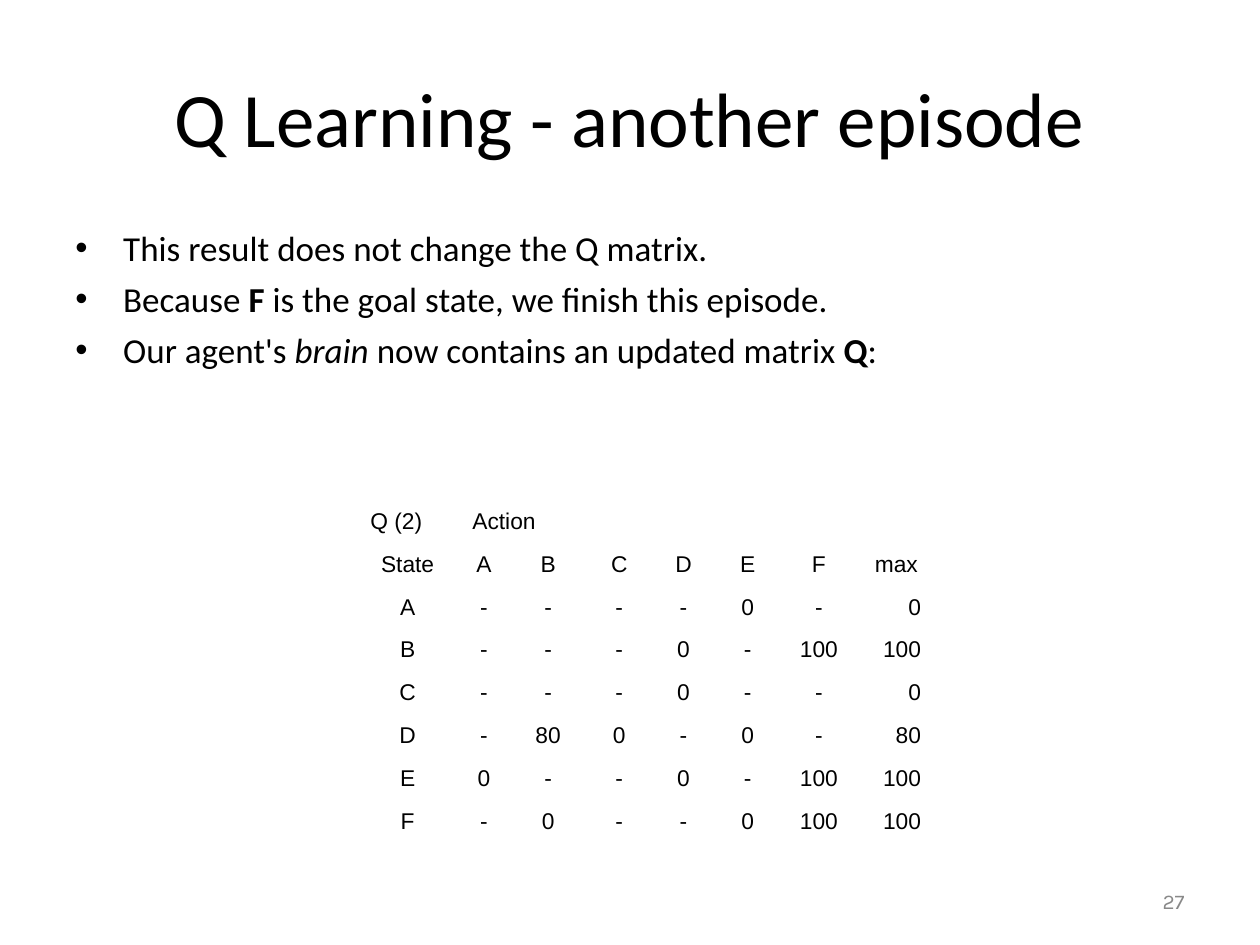
from pptx import Presentation
from pptx.dml.color import RGBColor
from pptx.enum.text import MSO_ANCHOR as Anchor, PP_ALIGN as Align
from pptx.oxml.ns import qn
from pptx.util import Inches, Pt
from lxml.etree import SubElement

BLACK = RGBColor(0x00, 0x00, 0x00)
GRAY = RGBColor(0x89, 0x89, 0x89)

BULLETS = [
    [("This result does not change the Q matrix.", "")],
    [("Because ", ""), ("F", "bold"), (" is the goal state, we finish this episode.", "")],
    [("Our agent's ", ""), ("brain", "italic"), (" now contains an updated matrix ", ""),
     ("Q", "bold"), (":", "")],
]
Q_MATRIX = [
    ["Q (2)", "Action", "", "", "", "", "", ""],
    ["State", "A", "B", "C", "D", "E", "F", "max"],
    ["A", "-", "-", "-", "-", "0", "-", "0"],
    ["B", "-", "-", "-", "0", "-", "100", "100"],
    ["C", "-", "-", "-", "0", "-", "-", "0"],
    ["D", "-", "80", "0", "-", "0", "-", "80"],
    ["E", "0", "-", "-", "0", "-", "100", "100"],
    ["F", "-", "0", "-", "-", "0", "100", "100"],
]
COLUMN_WIDTHS = [0.81, 0.4, 0.62, 0.51, 0.51, 0.51, 0.62, 0.61]
ROW_HEIGHTS = [0.61] + [0.34] * 7


class SlideBuilder:
    """Hold the text style and the current slide, and add elements to it."""

    body_font = "Calibri"
    table_font = "Arial"
    number_font = "Karla"

    def __init__(self, presentation):
        self.slide = presentation.slides.add_slide(presentation.slide_layouts[6])

    def style(self, font, name, size, color=BLACK):
        font.name = name
        font.size = Pt(size)
        font.color.rgb = color

    def box(self, left, top, width, height, anchor):
        shape = self.slide.shapes.add_textbox(
            Inches(left), Inches(top), Inches(width), Inches(height))
        text_frame = shape.text_frame
        text_frame.word_wrap = True
        text_frame.vertical_anchor = anchor
        return text_frame

    def label(self, text, position, name, size, color, align):
        text_frame = self.box(*position, Anchor.MIDDLE)
        text_frame.text = text
        paragraph = text_frame.paragraphs[0]
        paragraph.alignment = align
        self.style(paragraph.runs[0].font, name, size, color)

    def bullets(self, items, position):
        text_frame = self.box(*position, Anchor.TOP)
        for index, pieces in enumerate(items):
            paragraph = text_frame.add_paragraph() if index else text_frame.paragraphs[0]
            properties = paragraph._p.get_or_add_pPr()
            properties.set("marL", str(Inches(0.38)))
            properties.set("indent", str(-Inches(0.38)))
            SubElement(properties, qn("a:buFont"), typeface="Arial")
            SubElement(properties, qn("a:buChar"), char="•")
            if index:
                paragraph.space_before = Pt(5)
            for text, emphasis in pieces:
                run = paragraph.add_run()
                run.text = text
                self.style(run.font, self.body_font, 20)
                if emphasis:
                    setattr(run.font, emphasis, True)

    def table(self, rows, left, top):
        frame = self.slide.shapes.add_table(
            len(rows), len(COLUMN_WIDTHS), Inches(left), Inches(top),
            Inches(sum(COLUMN_WIDTHS)), Inches(sum(ROW_HEIGHTS)))
        table = frame.table
        table.first_row = table.horz_banding = False
        for column, width in zip(table.columns, COLUMN_WIDTHS):
            column.width = Inches(width)
        for row, height in zip(table.rows, ROW_HEIGHTS):
            row.height = Inches(height)
        for row_index, values in enumerate(rows):
            for column_index, value in enumerate(values):
                cell = table.cell(row_index, column_index)
                if row_index == 0:
                    align = Align.LEFT
                elif row_index > 1 and column_index == len(values) - 1:
                    align = Align.RIGHT
                else:
                    align = Align.CENTER
                self.fill_cell(cell, value, align)
        table.cell(0, 1).merge(table.cell(0, 2))

    def fill_cell(self, cell, value, align):
        cell.fill.background()
        cell.vertical_anchor = Anchor.BOTTOM
        cell.margin_left = cell.margin_right = Inches(0.11)
        cell.margin_top = cell.margin_bottom = Inches(0.05)
        cell.text_frame.text = value
        paragraph = cell.text_frame.paragraphs[0]
        paragraph.alignment = align
        for run in paragraph.runs:
            self.style(run.font, self.table_font, 13)


def main():
    presentation = Presentation()
    presentation.slide_width = Inches(10)
    presentation.slide_height = Inches(7.5)
    builder = SlideBuilder(presentation)
    builder.label("Q Learning - another episode", (0.5, 0.3, 9, 1.25),
                  builder.body_font, 44, BLACK, Align.CENTER)
    builder.bullets(BULLETS, (0.5, 1.75, 9, 4.95))
    builder.label("27", (7.17, 6.95, 2.33, 0.4),
                  builder.number_font, 12, GRAY, Align.RIGHT)
    builder.table(Q_MATRIX, 2.83, 3.68)
    presentation.save("out.pptx")


if __name__ == "__main__":
    main()
